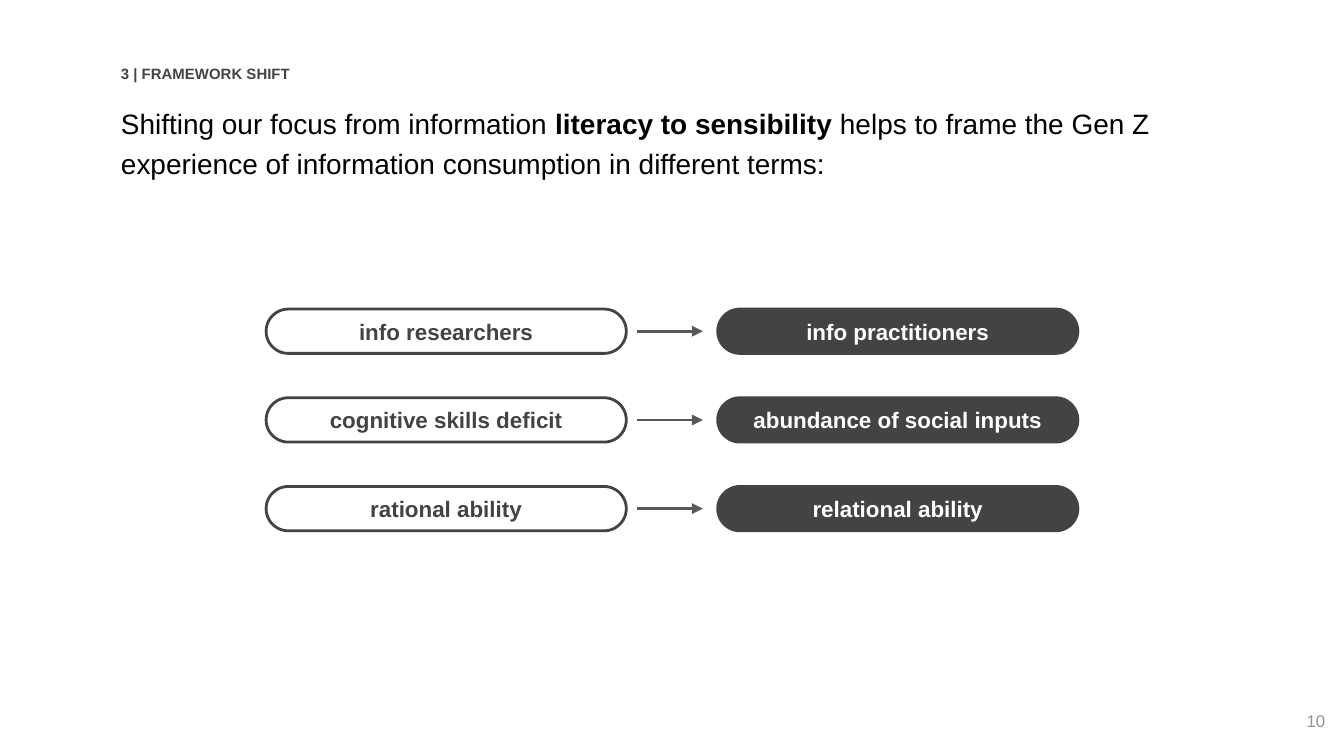
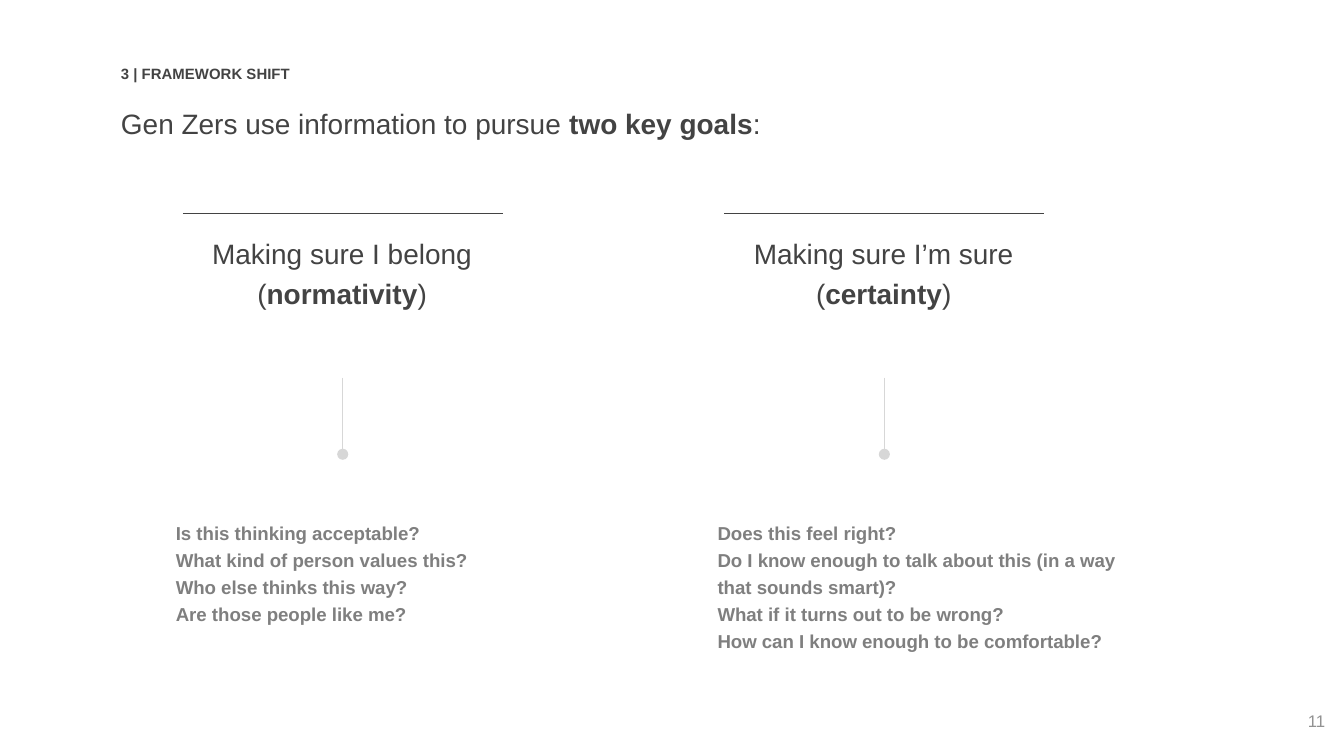
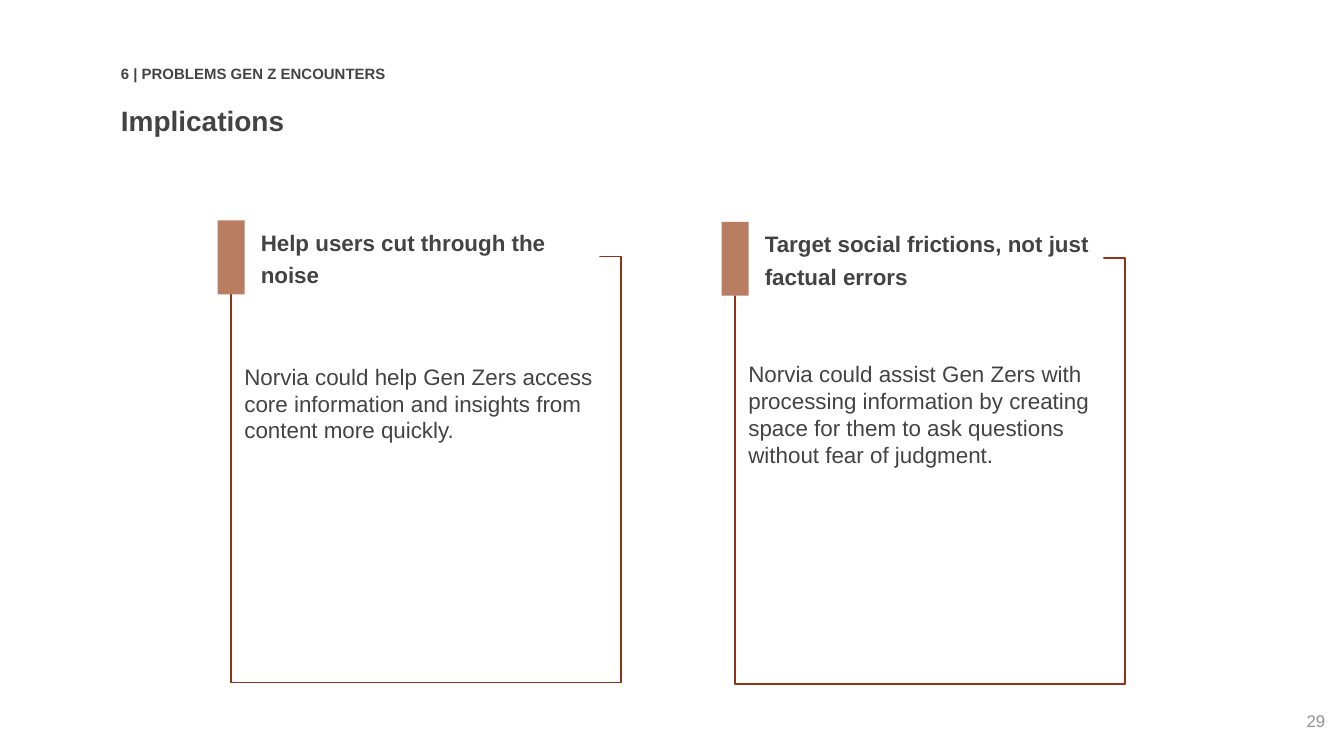
from dataclasses import dataclass
from typing import Optional

from lxml import etree
from pptx import Presentation
from pptx import util as u
from pptx.dml.color import RGBColor
from pptx.enum import shapes, text
from pptx.oxml.ns import qn

WIDE, HIGH = u.Inches(10), u.Inches(5.625)
COLS = 100
CELL = WIDE / COLS

LEFT, MID, RIGHT = text.PP_ALIGN.LEFT, text.PP_ALIGN.CENTER, text.PP_ALIGN.RIGHT


@dataclass(frozen=True)
class Theme:
    face: str = "Arial"
    dark: str = "434343"
    black: str = "000000"
    white: str = "FFFFFF"
    arrow: str = "595959"
    gray: str = "7F7F7F"
    page: str = "929292"
    pale: str = "D7D7D7"
    frame: str = "903319"
    tab: str = "8F2E03"
    lead: float = 15
    body: float = 12
    list: float = 10
    foot: float = 9
    tag: float = 8
    thick: float = 1.5
    thin: float = 0.75


T = Theme()


@dataclass(frozen=True)
class Box:
    x: float
    y: float
    w: float
    h: float


@dataclass(frozen=True)
class Style:
    size: float
    color: str = T.dark
    bold: bool = False
    align: text.PP_ALIGN = LEFT
    lead: Optional[float] = None
    mid: bool = False
    pad: tuple[float, float, float, float] = (1, 1, 1, 1)


@dataclass(frozen=True)
class Shift:
    old: str
    new: str


@dataclass(frozen=True)
class Goal:
    axis: float
    wide: float
    head: str
    asks: str


@dataclass(frozen=True)
class Card:
    x: float
    y: float
    drop: float
    head: str
    body: str


SNUG = (0.7, 0.4, 0.7, 0.4)
TAG = Style(T.tag, bold=True, lead=1.12, mid=True, pad=SNUG)
LEAD = Style(T.lead, lead=1.2, pad=SNUG)
BLACK = Style(T.lead, T.black, lead=1.2, pad=SNUG)
NAME = Style(T.lead, bold=True, lead=1.12, pad=SNUG)
GOAL = Style(T.lead, align=MID, lead=1.2, pad=SNUG)
ASK = Style(T.list, T.gray, bold=True, lead=1.2)
PAGE = Style(T.foot, T.page, align=RIGHT)
OLD = Style(T.body, bold=True, align=MID, mid=True)
NEW = Style(T.body, T.white, bold=True, align=MID, mid=True)
HEAD = Style(T.body, bold=True, lead=1.2, mid=True, pad=(2.7, 0.4, 0.7, 0.7))

SHIFTS = (
    Shift("info researchers", "info practitioners"),
    Shift("cognitive skills deficit", "abundance of social inputs"),
    Shift("rational ability", "relational ability"),
)
GOALS = (
    Goal(25.5, 29.8, "Making sure I belong\n(*normativity*)",
         "Is this thinking acceptable?\nWhat kind of person values this?\n"
         "Who else thinks this way?\nAre those people like me?"),
    Goal(65.8, 32.5, "Making sure I’m sure\n(*certainty*)",
         "Does this feel right?\n"
         "Do I know enough to talk about this (in a way that sounds smart)?\n"
         "What if it turns out to be wrong?\n"
         "How can I know enough to be comfortable?"),
)
CARDS = (
    Card(16.2, 16.4, 7.9, "Help users cut through the noise",
         "Norvia could help Gen Zers access core information and insights "
         "from content more quickly."),
    Card(53.7, 16.5, 7.6, "Target social frictions, not just factual errors",
         "Norvia could assist Gen Zers with processing information by creating "
         "space for them to ask questions without fear of judgment."),
)


def cell(n: float) -> int:
    return round(n * CELL)


def area(box: Box) -> tuple[int, int, int, int]:
    return cell(box.x), cell(box.y), cell(box.w), cell(box.h)


def rgb(code: str) -> RGBColor:
    return RGBColor.from_string(code)


def write(frame, words: str, style: Style) -> None:
    frame.word_wrap = True
    frame.auto_size = text.MSO_AUTO_SIZE.NONE
    frame.vertical_anchor = text.MSO_ANCHOR.MIDDLE if style.mid else text.MSO_ANCHOR.TOP
    (frame.margin_left, frame.margin_top,
     frame.margin_right, frame.margin_bottom) = map(cell, style.pad)
    for i, line in enumerate(words.split("\n")):
        para = frame.add_paragraph() if i else frame.paragraphs[0]
        para.alignment = style.align
        if style.lead:
            para.line_spacing = style.lead
        font = para.font
        font.name, font.size, font.bold = T.face, u.Pt(style.size), style.bold
        font.color.rgb = rgb(style.color)
        for j, part in enumerate(line.split("*")):
            if part:
                run = para.add_run()
                run.text = part
                if j % 2:
                    run.font.bold = True


def label(slide, box: Box, words: str, style: Style):
    item = slide.shapes.add_textbox(*area(box))
    write(item.text_frame, words, style)
    return item


def shape(slide, kind, box: Box, fill: Optional[str] = None,
          edge: Optional[str] = None, width: float = T.thin):
    item = slide.shapes.add_shape(kind, *area(box))
    item.shadow.inherit = False
    if fill:
        item.fill.solid()
        item.fill.fore_color.rgb = rgb(fill)
    else:
        item.fill.background()
    if edge:
        item.line.color.rgb = rgb(edge)
        item.line.width = u.Pt(width)
    else:
        item.line.fill.background()
    return item


def rule(slide, x: float, y: float, right: float, down: float, color: str,
         width: float = T.thin, tip: str = "") -> None:
    item = slide.shapes.add_connector(
        shapes.MSO_CONNECTOR.STRAIGHT,
        cell(x), cell(y), cell(x + right), cell(y + down))
    item.line.color.rgb = rgb(color)
    item.line.width = u.Pt(width)
    if tip:
        etree.SubElement(item.line._get_or_add_ln(), qn("a:tailEnd"), type=tip)
    etree.SubElement(item._element.spPr, qn("a:effectLst"))


def start(deck, tag: str, title: str, style: Style, page: int):
    slide = deck.slides.add_slide(deck.slide_layouts[5])
    head = slide.shapes.title
    head.left, head.top, head.width, head.height = area(Box(8.3, 7, 85.3, 7.5))
    write(head.text_frame, title, style)
    label(slide, Box(8.3, 4.4, 39.4, 2), tag, TAG)
    label(slide, Box(93.6, 51.9, 6, 4.3), str(page), PAGE)
    return slide


def pill(slide, x: float, y: float, words: str, fill: str, style: Style) -> None:
    item = shape(slide, shapes.MSO_SHAPE.ROUNDED_RECTANGLE,
                 Box(x, y, 26.8, 3.3), fill, T.dark, T.thick)
    item.adjustments[0] = 0.5
    write(item.text_frame, words, style)


def swap(slide, row: int, pair: Shift) -> None:
    y = 23 + row * 6.6
    pill(slide, 19.8, y, pair.old, T.white, OLD)
    rule(slide, 47.4, y + 1.65, 4.9, 0, T.arrow, T.thick, "triangle")
    pill(slide, 53.4, y, pair.new, T.dark, NEW)


def goal(slide, item: Goal) -> None:
    x = item.axis
    rule(slide, x - 11.9, 15.9, 23.8, 0, T.dark)
    label(slide, Box(x - 16.3, 16.7, 32.5, 3.7), item.head, GOAL)
    rule(slide, x, 28.1, 0, 5.7, T.pale, tip="oval")
    label(slide, Box(x - 13.4, 37.5, item.wide, 7.5), item.asks, ASK)


def card(slide, item: Card) -> None:
    x, y = item.x, item.y
    rect = shapes.MSO_SHAPE.RECTANGLE
    panel = shape(slide, rect, Box(x + 1, y + 2.7, 29, 31.7), edge=T.frame)
    write(panel.text_frame, item.body, Style(T.body, pad=(1, item.drop, 1, 1)))
    head = label(slide, Box(x + 0.5, y + 0.1, 27.9, 5.4), item.head, HEAD)
    head.fill.solid()
    head.fill.fore_color.rgb = rgb(T.white)
    tab = shape(slide, rect, Box(x, y, 2, 5.5), T.tab)
    tint = tab._element.spPr.find(qn("a:solidFill"))[0]
    etree.SubElement(tint, qn("a:alpha"), val="62000")


def main() -> None:
    deck = Presentation()
    deck.slide_width, deck.slide_height = WIDE, HIGH

    slide = start(deck, "3 | FRAMEWORK SHIFT",
                  "Shifting our focus from information *literacy to sensibility* "
                  "helps to frame the Gen Z experience of information consumption "
                  "in different terms:", BLACK, 10)
    for row, pair in enumerate(SHIFTS):
        swap(slide, row, pair)

    slide = start(deck, "3 | FRAMEWORK SHIFT",
                  "Gen Zers use information to pursue *two key goals*:", LEAD, 11)
    for item in GOALS:
        goal(slide, item)

    slide = start(deck, "6 | PROBLEMS GEN Z ENCOUNTERS", "Implications", NAME, 29)
    for item in CARDS:
        card(slide, item)

    deck.save("out.pptx")


if __name__ == "__main__":
    main()
